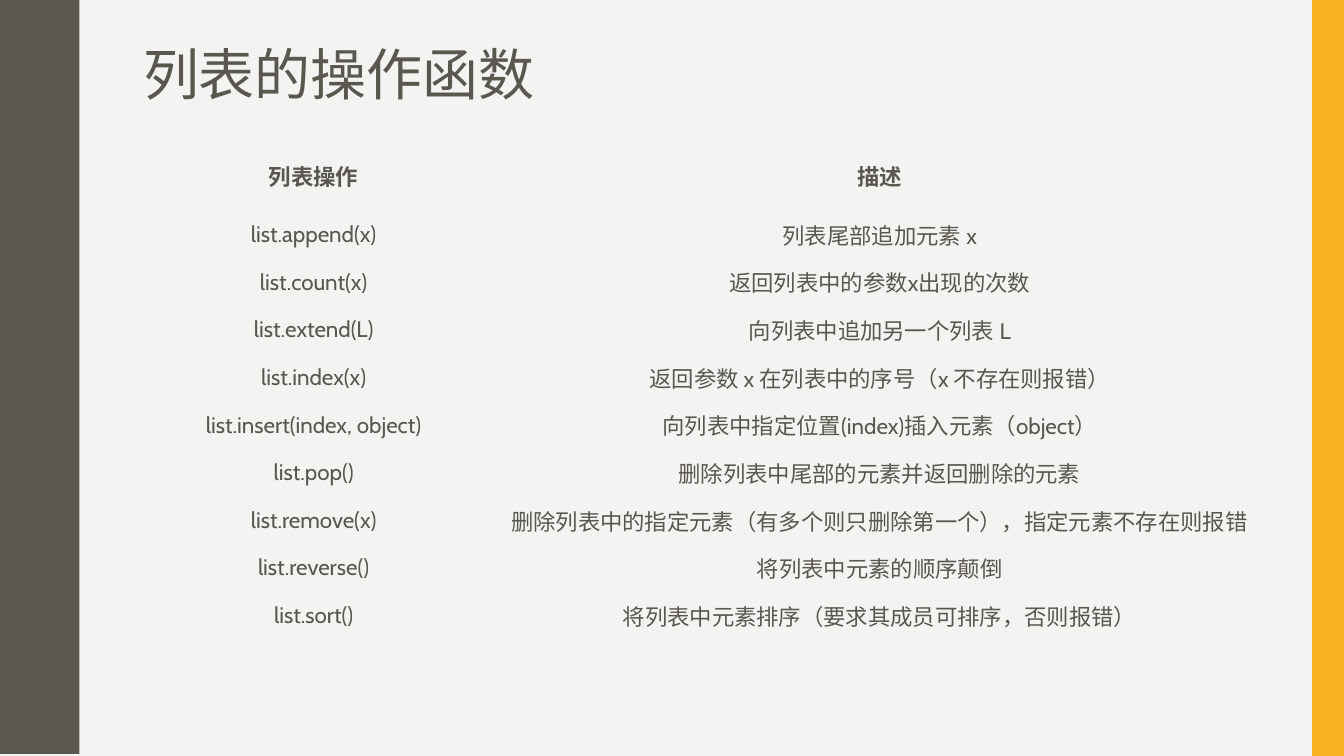
from pptx import Presentation
from pptx.dml.color import RGBColor
from pptx.enum.shapes import MSO_SHAPE
from pptx.enum.text import MSO_ANCHOR as Anchor, MSO_AUTO_SIZE as AutoSize, PP_ALIGN as Align
from pptx.oxml.ns import qn
from pptx.util import Cm, Pt
from lxml.etree import SubElement

INK = RGBColor(0x59, 0x57, 0x4E)
PAPER = RGBColor(0xF3, 0xF3, 0xF2)
AMBER = RGBColor(0xF8, 0xB3, 0x23)
LATIN_FONT = "Cabin"
CHINESE_FONT = "Noto Sans CJK SC"
NO_GRID_STYLE = "{2D5ABB26-0587-4C30-8999-92F81FD0307C}"

WIDTH, HEIGHT = 33.87, 19.05
WAVE_COUNT = 5
HALF_WAVE = [
    (1.98, 0), (1.98, 0.18), (2.01, 0.36), (2.03, 0.51), (2.06, 0.64),
    (2.11, 0.74), (2.16, 0.84), (2.21, 0.95), (2.26, 1.06), (2.31, 1.17),
    (2.36, 1.27), (2.41, 1.4), (2.44, 1.55), (2.46, 1.73), (2.46, 1.9),
]
OPERATIONS = [
    ("列表操作", "描述"),
    ("list.append(x)", "列表尾部追加元素 x"),
    ("list.count(x)", "返回列表中的参数x出现的次数"),
    ("list.extend(L)", "向列表中追加另一个列表 L"),
    ("list.index(x)", "返回参数 x 在列表中的序号（x 不存在则报错）"),
    ("list.insert(index, object)", "向列表中指定位置(index)插入元素（object）"),
    ("list.pop()", "删除列表中尾部的元素并返回删除的元素"),
    ("list.remove(x)", "删除列表中的指定元素（有多个则只删除第一个），指定元素不存在则报错"),
    ("list.reverse()", "将列表中元素的顺序颠倒"),
    ("list.sort()", "将列表中元素排序（要求其成员可排序，否则报错）"),
]


def write(text_frame, text, size=16, font=LATIN_FONT, bold=False, align=Align.CENTER, spacing=1.0):
    """Write one formatted paragraph into a text frame."""
    paragraph = text_frame.paragraphs[0]
    paragraph.alignment = align
    paragraph.line_spacing = spacing
    run = paragraph.add_run()
    run.text = text
    run.font.name = font
    run.font.size = Pt(size)
    run.font.bold = bold
    run.font.color.rgb = INK
    SubElement(run.font._element, qn("a:ea")).set("typeface", CHINESE_FONT)


class SlideBuilder:
    """Hold the style and the current slide."""

    def __init__(self, presentation):
        """Add a title-only slide with a plain background."""
        self.slide = presentation.slides.add_slide(presentation.slide_layouts[5])
        self.shapes = self.slide.shapes
        self.slide.background.fill.solid()
        self.slide.background.fill.fore_color.rgb = PAPER

    def paint(self, shape, color):
        """Give a shape a flat fill without line or shadow."""
        shape.shadow.inherit = False
        shape.fill.solid()
        shape.fill.fore_color.rgb = color
        shape.line.fill.background()

    def wavy_band(self, color):
        """Draw the left band with its wavy right edge."""
        period = HEIGHT / WAVE_COUNT
        falling = [(x, period - y) for x, y in reversed(HALF_WAVE)]
        edge = [(x, y + wave * period)
                for wave in range(WAVE_COUNT) for x, y in HALF_WAVE + falling]
        builder = self.shapes.build_freeform(0, 0, scale=Cm(1))
        builder.add_line_segments(edge + [(0, HEIGHT)], close=True)
        self.paint(builder.convert_to_shape(), color)

    def bar(self, left, top, width, height, color):
        """Draw a flat rectangle."""
        bar = self.shapes.add_shape(
            MSO_SHAPE.RECTANGLE, Cm(left), Cm(top), Cm(width), Cm(height))
        self.paint(bar, color)

    def title(self, text, left, top, width, height):
        """Move and fill the title placeholder."""
        title = self.shapes.title
        title.left, title.top = Cm(left), Cm(top)
        title.width, title.height = Cm(width), Cm(height)
        frame = title.text_frame
        frame.word_wrap = True
        frame.auto_size = AutoSize.NONE
        frame.vertical_anchor = Anchor.TOP
        write(frame, text, size=40, font=CHINESE_FONT, align=Align.LEFT, spacing=0.9)

    def table(self, rows, left, top, column_widths, header_height, row_height):
        """Add a plain table whose first row is bold."""
        height = header_height + row_height * (len(rows) - 1)
        frame = self.shapes.add_table(
            len(rows), len(column_widths), Cm(left), Cm(top), Cm(sum(column_widths)), Cm(height))
        table = frame.table
        table.horz_banding = False
        table._tbl.tblPr.find(qn("a:tableStyleId")).text = NO_GRID_STYLE
        for column, width in zip(table.columns, column_widths):
            column.width = Cm(width)
        for index, texts in enumerate(rows):
            table.rows[index].height = Cm(row_height if index else header_height)
            for cell, text in zip(table.rows[index].cells, texts):
                cell.fill.background()
                cell.vertical_anchor = Anchor.MIDDLE
                write(cell.text_frame, text, bold=index == 0)


def main():
    """Build the slide and save it."""
    presentation = Presentation()
    presentation.slide_width, presentation.slide_height = Cm(WIDTH), Cm(HEIGHT)
    builder = SlideBuilder(presentation)
    builder.wavy_band(INK)
    builder.bar(33.07, 0, 0.8, HEIGHT, AMBER)
    builder.title("列表的操作函数", 3.35, 1.07, 30.25, 4.52)
    builder.table(OPERATIONS, 4.22, 3.53, (7.37, 21.16), 1.78, 1.2)
    presentation.save("out.pptx")


if __name__ == "__main__":
    main()
